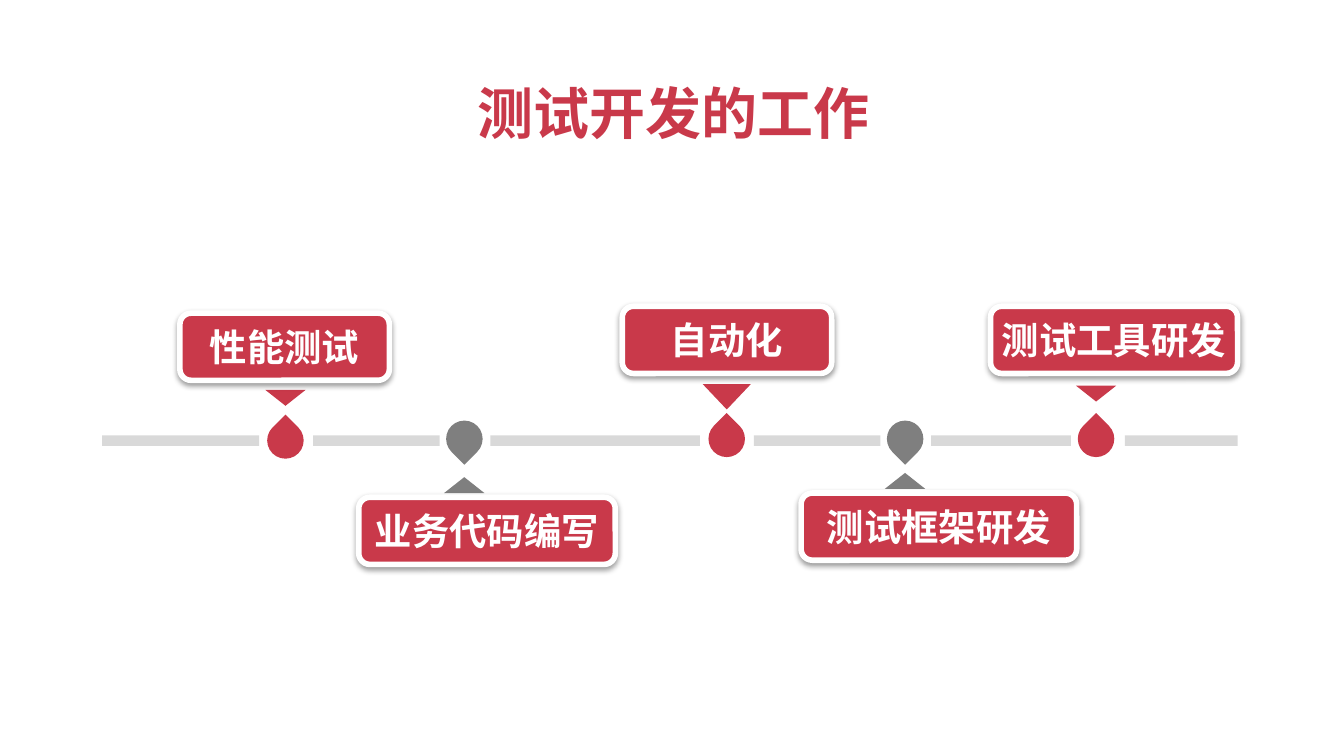
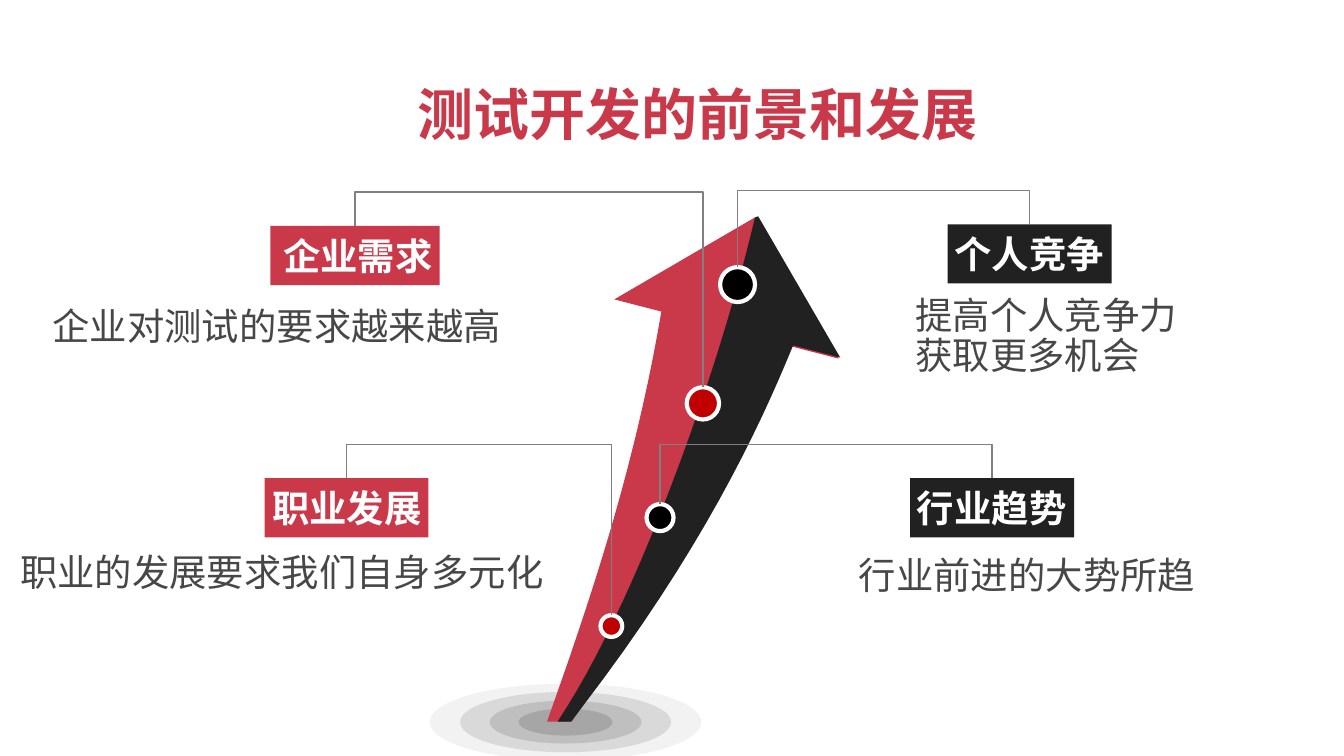
"""Build two slides on test development: the work it covers and its prospects."""
import pptx
import pptx.dml.color
import pptx.enum.shapes
import pptx.enum.text
import pptx.oxml
import pptx.oxml.ns
import pptx.util
from lxml import etree

Cm = pptx.util.Cm
Pt = pptx.util.Pt
RGBColor = pptx.dml.color.RGBColor
MSO_SHAPE = pptx.enum.shapes.MSO_SHAPE
PP_ALIGN = pptx.enum.text.PP_ALIGN
MSO_ANCHOR = pptx.enum.text.MSO_ANCHOR
qn = pptx.oxml.ns.qn

FONT = "Noto Sans CJK SC"
RED = RGBColor(0xC9, 0x39, 0x4A)
DARK = RGBColor(0x21, 0x21, 0x21)
WHITE = RGBColor(0xFF, 0xFF, 0xFF)
BLACK = RGBColor(0x00, 0x00, 0x00)
DEEP_RED = RGBColor(0xC0, 0x00, 0x00)
TRACK = RGBColor(0xD9, 0xD9, 0xD9)
GREY = RGBColor(0x7F, 0x7F, 0x7F)
LINE = RGBColor(0x80, 0x80, 0x80)
BODY = RGBColor(0x47, 0x47, 0x47)
RIPPLES = [RGBColor(v, v, v) for v in (0xF2, 0xD9, 0xBF, 0xA6)]

SHADOW = (
    f'<a:outerShdw {pptx.oxml.ns.nsdecls("a")} blurRad="38100" dist="20320" dir="5400000" '
    'algn="t" rotWithShape="0"><a:srgbClr val="000000"><a:alpha val="38000"/></a:srgbClr></a:outerShdw>'
)


def add_shape(s, kind, x, y, w, h, fill, border=None):
    sp = s.shapes.add_shape(kind, Cm(x), Cm(y), Cm(w), Cm(h))
    sp.shadow.inherit = False
    sp.fill.solid()
    sp.fill.fore_color.rgb = fill
    if border:
        sp.line.color.rgb = WHITE
        sp.line.width = Pt(border)
    else:
        sp.line.fill.background()
    return sp


def write(sp, lines, size, color, bold=True, align=PP_ALIGN.LEFT,
          anchor=MSO_ANCHOR.TOP, wrap=False, spacing=None):
    tf = sp.text_frame
    tf.word_wrap = wrap
    tf.vertical_anchor = anchor
    tf.margin_left = tf.margin_right = tf.margin_top = tf.margin_bottom = Cm(0.13)
    for i, line in enumerate(lines):
        p = tf.add_paragraph() if i else tf.paragraphs[0]
        p.alignment = align
        if spacing:
            p.line_spacing = spacing
        r = p.add_run()
        r.text = line
        r.font.size = Pt(size)
        r.font.bold = bold
        r.font.color.rgb = color
        r.font.name = FONT
        etree.SubElement(r._r.get_or_add_rPr(), qn("a:ea"), typeface=FONT)


prs = pptx.Presentation()
prs.slide_width = Cm(25.4)
prs.slide_height = Cm(14.29)

slides = []
for title, x, y, w, align in [
    ("测试开发的工作", 1.3, 1.35, 22.86, PP_ALIGN.CENTER),
    ("测试开发的前景和发展", 7.77, 1.37, 10.87, PP_ALIGN.LEFT),
]:
    s = prs.slides.add_slide(prs.slide_layouts[6])
    tb = s.shapes.add_textbox(Cm(x), Cm(y), Cm(w), Cm(1.73))
    write(tb, [title], 30, RED, align=align, wrap=align == PP_ALIGN.CENTER)
    slides.append(s)
work, prospects = slides

for x, w in [(1.93, 2.97), (5.92, 2.39), (9.27, 3.96), (14.25, 2.39), (17.6, 2.64), (21.26, 2.13)]:
    add_shape(work, MSO_SHAPE.RECTANGLE, x, 8.23, w, 0.2, TRACK)

PIN = 0.69
milestones = [
    ("性能测试", True, 5.05, 7.98, (7.37, 0.76, 0.3), (3.4, 5.92, 3.96)),
    ("业务代码编写", False, 8.43, 7.95, (9.02, 0.76, 0.3), (6.78, 9.4, 4.85)),
    ("自动化", True, 13.39, 7.95, (7.26, 0.91, 0.48), (11.76, 5.79, 3.96)),
    ("测试框架研发", False, 16.76, 7.95, (8.94, 0.76, 0.3), (15.14, 9.32, 5.21)),
    ("测试工具研发", True, 20.37, 7.95, (7.29, 0.76, 0.3), (18.72, 5.79, 4.67)),
]
for label, above, x, y, (tip_y, tip_w, tip_h), (box_x, box_y, box_w) in milestones:
    color = RED if above else GREY
    pin = add_shape(work, MSO_SHAPE.TEAR, x, y, PIN, PIN, color)
    pin.rotation = 315 if above else 135
    tip = add_shape(work, MSO_SHAPE.ISOSCELES_TRIANGLE, x + (PIN - tip_w) / 2, tip_y, tip_w, tip_h, color)
    tip.rotation = 180 if above else 0
    box = add_shape(work, MSO_SHAPE.ROUNDED_RECTANGLE, box_x, box_y, box_w, 1.27, RED, 3)
    box.adjustments[0] = 0.167
    box._element.spPr.find(qn("a:effectLst")).append(pptx.oxml.parse_xml(SHADOW))
    write(box, [label], 20, WHITE, align=PP_ALIGN.CENTER, anchor=MSO_ANCHOR.MIDDLE)

for (w, h), color in zip([(5.13, 1.45), (3.99, 1.14), (2.87, 0.81), (1.78, 0.51)], RIPPLES):
    add_shape(prospects, MSO_SHAPE.OVAL, 10.69 - w / 2, 13.65 - h / 2, w, h, color)

arrow_halves = [
    (RED, (14.27, 4.11), [
        [(15.85, 6.78)], [(14.96, 6.55)],
        [(14.3, 8.15), (13.21, 10.49), (11, 13.36)],
        [(10.77, 13.64)], [(10.34, 13.64)], [(10.74, 12.5)],
        [(11.46, 10.41), (12.09, 8.31), (12.5, 5.89)],
        [(11.61, 5.66)],
    ]),
    (DARK, (14.33, 4.09), [
        [(15.88, 6.76)], [(14.99, 6.53)],
        [(14.33, 8.15), (13.23, 10.46), (11.02, 13.34)],
        [(10.8, 13.64)], [(10.54, 13.64)], [(10.59, 13.56)],
        [(11.43, 12.29), (12.47, 9.98), (13.36, 7.29)],
        [(13.72, 6.2), (14.02, 5.16), (14.25, 4.19)],
        [(14.27, 4.11)],
    ]),
]
STEPS = 16
for color, start, segments in arrow_halves:
    points = [start]
    for segment in segments:
        if len(segment) == 1:
            points += segment
            continue
        a, (b, c, d) = points[-1], segment
        for k in range(1, STEPS + 1):
            t = k / STEPS
            u = 1 - t
            points.append(tuple(
                u**3 * a[i] + 3 * u * u * t * b[i] + 3 * u * t * t * c[i] + t**3 * d[i] for i in (0, 1)
            ))
    fb = prospects.shapes.build_freeform(Cm(start[0]), Cm(start[1]))
    fb.add_line_segments([(Cm(x), Cm(y)) for x, y in points[1:]], close=True)
    sp = fb.convert_to_shape()
    sp.shadow.inherit = False
    sp.fill.solid()
    sp.fill.fore_color.rgb = color
    sp.line.fill.background()

RISE = 0.64
topics = [
    ("企业需求", (5.11, 4.27, 3.2), (12.98, 7.32, 0.61), True,
     ["企业对测试的要求越来越高"], (0.86, 5.69, 8.81, 1.02)),
    ("职业发展", (5, 9.04, 3.1), (11.35, 11.63, 0.41), True,
     ["职业的发展要求我们自身多元化"], (0.25, 10.34, 10.24, 1.02)),
    ("个人竞争", (17.91, 4.24, 3.1), (13.61, 5.05, 0.66), False,
     ["提高个人竞争力", "获取更多机会"], (17.17, 5.49, 8.2, 1.8)),
    ("行业趋势", (17.2, 9.04, 3.1), (12.22, 9.53, 0.51), False,
     ["行业前进的大势所趋"], (16.1, 10.41, 6.83, 1.02)),
]
for name, (x, y, w), (dot_x, dot_y, dot_d), left, lines, (text_x, text_y, text_w, text_h) in topics:
    badge = add_shape(prospects, MSO_SHAPE.RECTANGLE, x, y, w, 1.12, RED if left else DARK)
    write(badge, [name], 20, WHITE, align=PP_ALIGN.RIGHT if left else PP_ALIGN.LEFT)
    add_shape(prospects, MSO_SHAPE.OVAL, dot_x, dot_y, dot_d, dot_d, DEEP_RED if left else BLACK, 2.25)

    x1, x2 = x + w / 2, dot_x + dot_d / 2
    drop, span = dot_y - y, abs(x2 - x1)
    cx, cy = (x1 + x2) / 2, (y + dot_y) / 2
    side = -1 if left else 1
    cn = prospects.shapes.add_connector(
        pptx.enum.shapes.MSO_CONNECTOR.ELBOW,
        Cm(cx + drop / 2), Cm(cy + side * span / 2),
        Cm(cx - drop / 2), Cm(cy - side * span / 2),
    )
    cn.line.color.rgb = LINE
    cn.line.width = Pt(0.75)
    spPr = cn._element.spPr
    spPr.find(qn("a:xfrm")).set("rot", "16200000")
    geom = spPr.find(qn("a:prstGeom"))
    av = geom.find(qn("a:avLst"))
    if av is None:
        av = etree.SubElement(geom, qn("a:avLst"))
    etree.SubElement(av, qn("a:gd"), name="adj1", fmla=f"val {round(-RISE / drop * 100000)}")
    etree.SubElement(spPr, qn("a:effectLst"))

    tb = prospects.shapes.add_textbox(Cm(text_x), Cm(text_y), Cm(text_w), Cm(text_h))
    write(tb, lines, 20, BODY, bold=False, spacing=0.9)

prs.save("out.pptx")
